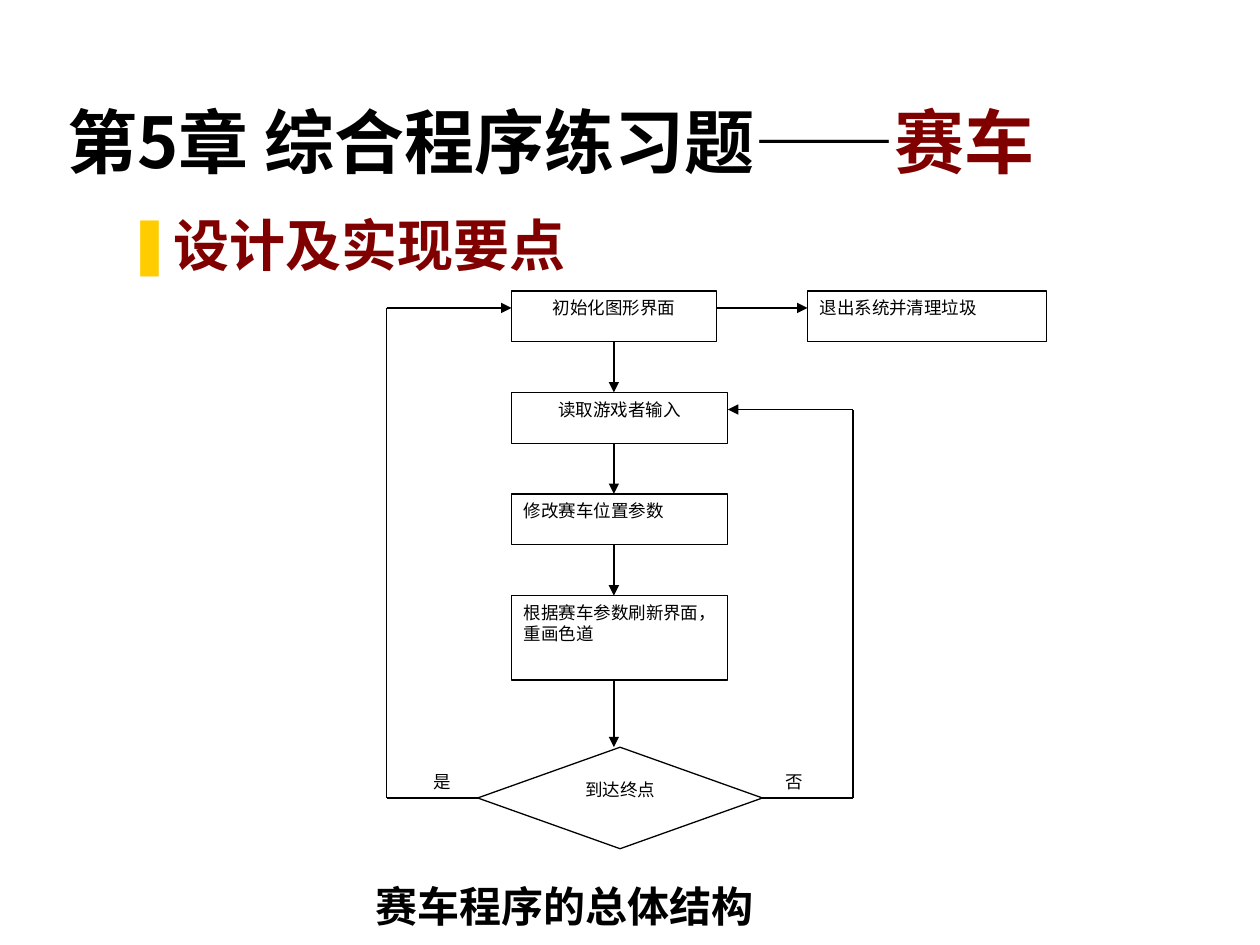
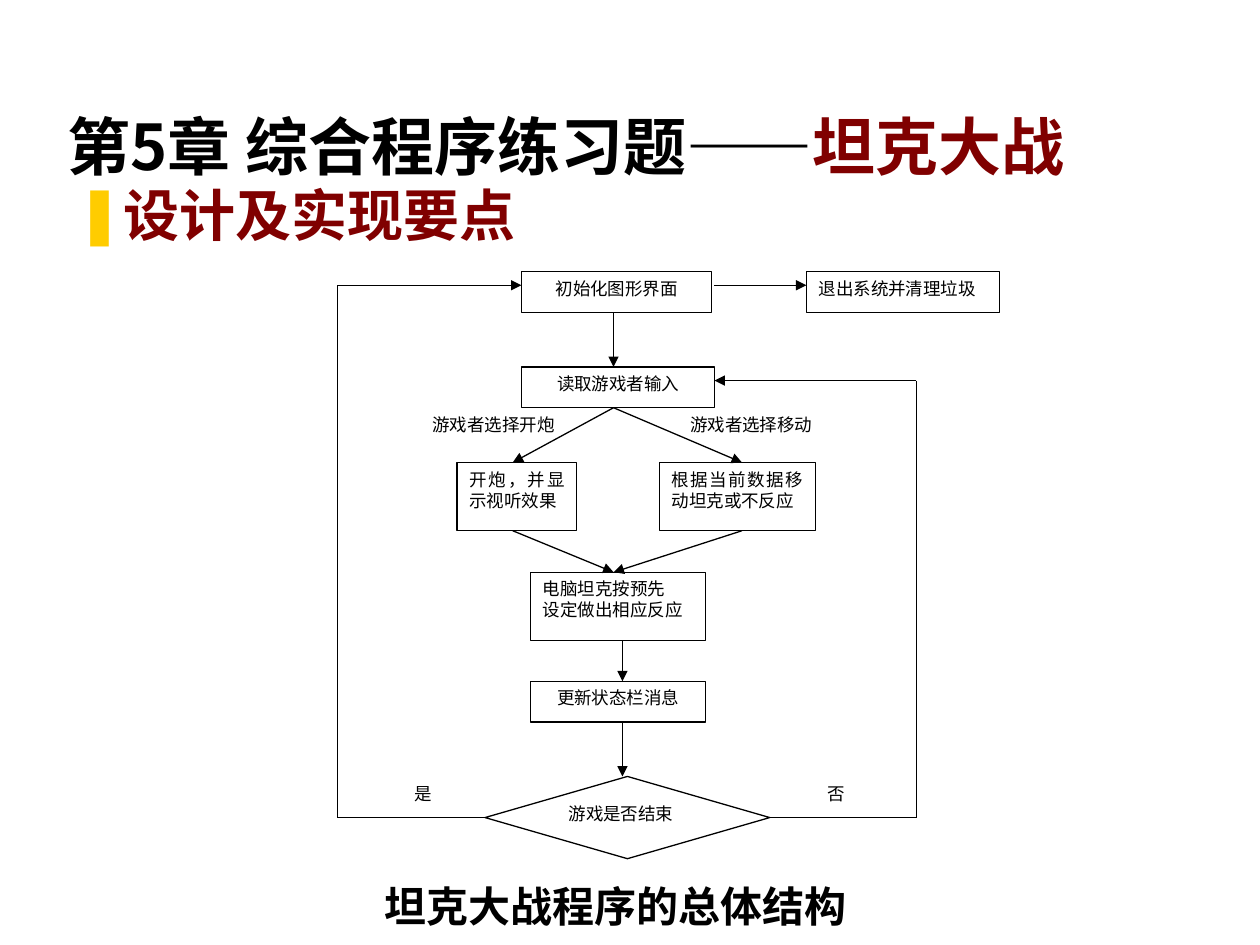
from lxml import etree
from pptx import Presentation
from pptx.dml.color import RGBColor
from pptx.enum.shapes import MSO_CONNECTOR, MSO_SHAPE
from pptx.enum.text import MSO_ANCHOR, MSO_AUTO_SIZE, PP_ALIGN
from pptx.oxml.ns import qn
from pptx.util import Pt

BLACK = RGBColor(0, 0, 0)
WHITE = RGBColor(0xFF, 0xFF, 0xFF)
MAROON = RGBColor(0x80, 0, 0)
GOLD = RGBColor(0xFF, 0xCC, 0)

RECT, DIAMOND = MSO_SHAPE.RECTANGLE, MSO_SHAPE.DIAMOND
STRAIGHT = MSO_CONNECTOR.STRAIGHT
LEFT, CENTER, JUSTIFY = PP_ALIGN.LEFT, PP_ALIGN.CENTER, PP_ALIGN.JUSTIFY
TOP, MIDDLE, BOTTOM = MSO_ANCHOR.TOP, MSO_ANCHOR.MIDDLE, MSO_ANCHOR.BOTTOM
NO_FIT = MSO_AUTO_SIZE.NONE
LEFT_SIDE, RIGHT_SIDE, BOTTOM_SIDE = 1, 3, 2

CJK = "Noto Sans CJK SC"
CHAPTER = "第5章 综合程序练习题——"
SECTION = "设计及实现要点"
LABEL_FONT = {"size": Pt(10), "name": "Times New Roman", "bold": False}
CAPTION_FONT = {"size": Pt(24), "name": "Times New Roman", "bold": True}
SECTION_FONT = {"size": Pt(32), "name": "Lato", "bold": True}
LINE_WIDTH = Pt(0.75)


def place(shape, left, top, width, height):
    box = {"left": left, "top": top, "width": width, "height": height}
    for name, value in box.items():
        setattr(shape, name, Pt(value))


def add_run(p, text, font, color):
    r = p.add_run()
    r.text = text
    for name, value in font.items():
        setattr(r.font, name, value)
    r.font.color.rgb = color
    etree.SubElement(r._r.get_or_add_rPr(), qn("a:ea"), typeface=CJK)


def set_frame(tf, anchor, wrap=True):
    frame = {"auto_size": NO_FIT, "word_wrap": wrap, "vertical_anchor": anchor}
    for name, value in frame.items():
        setattr(tf, name, value)


def write(shape, lines, align, font=LABEL_FONT, anchor=TOP, wrap=True):
    tf = shape.text_frame
    set_frame(tf, anchor, wrap)
    for i, line in enumerate(lines.split("\n")):
        p = tf.add_paragraph() if i else tf.paragraphs[0]
        p.alignment = align
        add_run(p, line, font, BLACK)


def add_title(s, topic, size):
    title = s.shapes.title
    place(title, 31.5, 18, 612, 90)
    set_frame(title.text_frame, BOTTOM)
    p = title.text_frame.paragraphs[0]
    p.alignment = LEFT
    font = {"size": Pt(size), "name": CJK, "bold": True}
    add_run(p, CHAPTER, font, BLACK)
    add_run(p, topic, font, MAROON)


def add_section(s, left, top):
    body = s.placeholders[1]
    place(body, left, top, 372, 50)
    set_frame(body.text_frame, TOP)
    p = body.text_frame.paragraphs[0]
    pPr = p._p.get_or_add_pPr()
    pPr.set("marL", str(Pt(27)))
    pPr.set("indent", str(-Pt(27)))
    bullet_color = etree.SubElement(pPr, qn("a:buClr"))
    etree.SubElement(bullet_color, qn("a:srgbClr"), val=str(GOLD))
    etree.SubElement(pPr, qn("a:buChar"), char="❚")
    p.alignment = JUSTIFY
    p.space_before = Pt(0)
    add_run(p, SECTION, SECTION_FONT, MAROON)


def add_step(s, text, left, top, width, height, align=CENTER, kind=RECT):
    sp = s.shapes.add_shape(kind, Pt(left), Pt(top), Pt(width), Pt(height))
    sp.shadow.inherit = False
    sp.fill.solid()
    sp.fill.fore_color.rgb = WHITE
    sp.line.color.rgb = BLACK
    sp.line.width = LINE_WIDTH
    if text:
        write(sp, text, align)
    return sp


def add_label(s, text, left, top, width, height, align=JUSTIFY):
    tb = s.shapes.add_textbox(Pt(left), Pt(top), Pt(width), Pt(height))
    write(tb, text, align)


def add_caption(s, text, left):
    sp = add_step(s, "", left, 494.6, 306, 45.4)
    sp.line.fill.background()
    write(sp, text, CENTER, CAPTION_FONT, MIDDLE, wrap=False)


def add_line(s, start, end, arrow=True, source=None):
    """Draw a line; source is an optional (shape, side) to join its start to."""
    c = s.shapes.add_connector(STRAIGHT, *(Pt(v) for v in (*start, *end)))
    c.line.color.rgb = BLACK
    c.line.width = LINE_WIDTH
    if arrow:
        etree.SubElement(c.line._get_or_add_ln(), qn("a:tailEnd"), type="triangle")
    etree.SubElement(c._element.spPr, qn("a:effectLst"))
    if source:
        c.begin_connect(*source)


def add_drop(s, x, upper, lower, source=None):
    """Arrow straight down from the foot of one step to the top of the next."""
    foot = upper.top.pt + upper.height.pt
    add_line(s, (x, foot), (x, lower.top.pt), source=source)


def add_loop(s, decision, side, x, y, target_x):
    """Path from a side of the decision, out to x, up to y, and back in."""
    edge = decision.left.pt
    if side == RIGHT_SIDE:
        edge += decision.width.pt
    middle = decision.top.pt + decision.height.pt / 2
    add_line(s, (edge, middle), (x, middle), False, (decision, side))
    add_line(s, (x, middle), (x, y), False)
    add_line(s, (x, y), (target_x, y))


def add_flow_slide(prs, topic, title_size, section_at, caption_left):
    s = prs.slides.add_slide(prs.slide_layouts[1])
    add_title(s, topic, title_size)
    add_section(s, *section_at)
    add_caption(s, topic + "程序的总体结构 ", caption_left)
    return s


def build_racing(prs):
    s = add_flow_slide(prs, "赛车", 40, (65, 116.5), 172.5)
    left, top, pitch, height = 292.3, 166.3, 58, 29
    steps = [
        ("初始化图形界面", 117, height, CENTER),
        ("读取游戏者输入", 123.4, height, CENTER),
        ("修改赛车位置参数", 123.4, height, JUSTIFY),
        ("根据赛车参数刷新界面，重画色道", 123.4, 48.3, LEFT),
    ]
    chain = [add_step(s, text, left, top + i * pitch, w, h, align)
             for i, (text, w, h, align) in enumerate(steps)]
    finish = add_step(s, "到达终点", 273, 427, 162.7, 58, kind=DIAMOND)
    chain.append(finish)
    add_step(s, "退出系统并清理垃圾", 461.4, top, 136.8, height, JUSTIFY)

    for upper, lower in zip(chain, chain[1:]):
        source = (upper, BOTTOM_SIDE) if upper is chain[0] else None
        add_drop(s, 350.8, upper, lower, source)
    add_line(s, (409.5, 176), (461.4, 176))
    add_loop(s, finish, LEFT_SIDE, 221, 176, left)
    add_loop(s, finish, RIGHT_SIDE, 487.5, 234, 416)
    for text, x in (("是", 240.5), ("否", 442)):
        add_label(s, text, x, 437, 32.4, 39)


def build_tanks(prs):
    s = add_flow_slide(prs, "坦克大战", 36, (36.5, 99.5), 201.5)
    low, high = 23.3, 39
    start = add_step(s, "初始化图形界面", 298, 155.2, 108.7, low)
    read = add_step(s, "读取游戏者输入", 298, 209.7, 110.3, low)
    fire = add_step(s, "开炮，并显示视听效果", 261.2, 264.3, 68.4, high, JUSTIFY)
    move = add_step(s, "根据当前数据移动坦克或不反应", 376.8, 264.3, 89.3, high, JUSTIFY)
    react = add_step(s, "电脑坦克按预先\n设定做出相应反应", 303.2, 327, 100, high, LEFT)
    update = add_step(s, "更新状态栏消息", 303.2, 389.3, 100, low)
    over = add_step(s, "游戏是否结束", 277.2, 443.7, 162.7, 47, JUSTIFY, DIAMOND)
    add_step(s, "退出系统并清理垃圾", 460.8, 155.2, 110.3, low, JUSTIFY)

    hub = 350.6
    add_drop(s, hub, start, read)
    for branch, x in ((fire, 293), (move, 424)):
        add_line(s, (hub, 233), (x, branch.top.pt))
        add_line(s, (x, 303.3), (hub, react.top.pt))
    for upper, lower in ((react, update), (update, over)):
        add_drop(s, 355.7, upper, lower)
    add_line(s, (408.3, 163), (460.8, 163))
    add_loop(s, over, RIGHT_SIDE, 523.7, 217.5, 408.3)
    add_loop(s, over, LEFT_SIDE, 193, 163, 298)

    for text, x in (("游戏者选择开炮", 229.5), ("游戏者选择移动", 376.8)):
        add_label(s, text, x, 233, 105, low, CENTER)
    for text, x in (("是", 229.5), ("否", 465.8)):
        add_label(s, text, x, 443.7, 32, 39)


def main():
    prs = Presentation()
    prs.slide_width, prs.slide_height = Pt(720), Pt(540)
    build_racing(prs)
    build_tanks(prs)
    prs.save("out.pptx")


if __name__ == "__main__":
    main()
